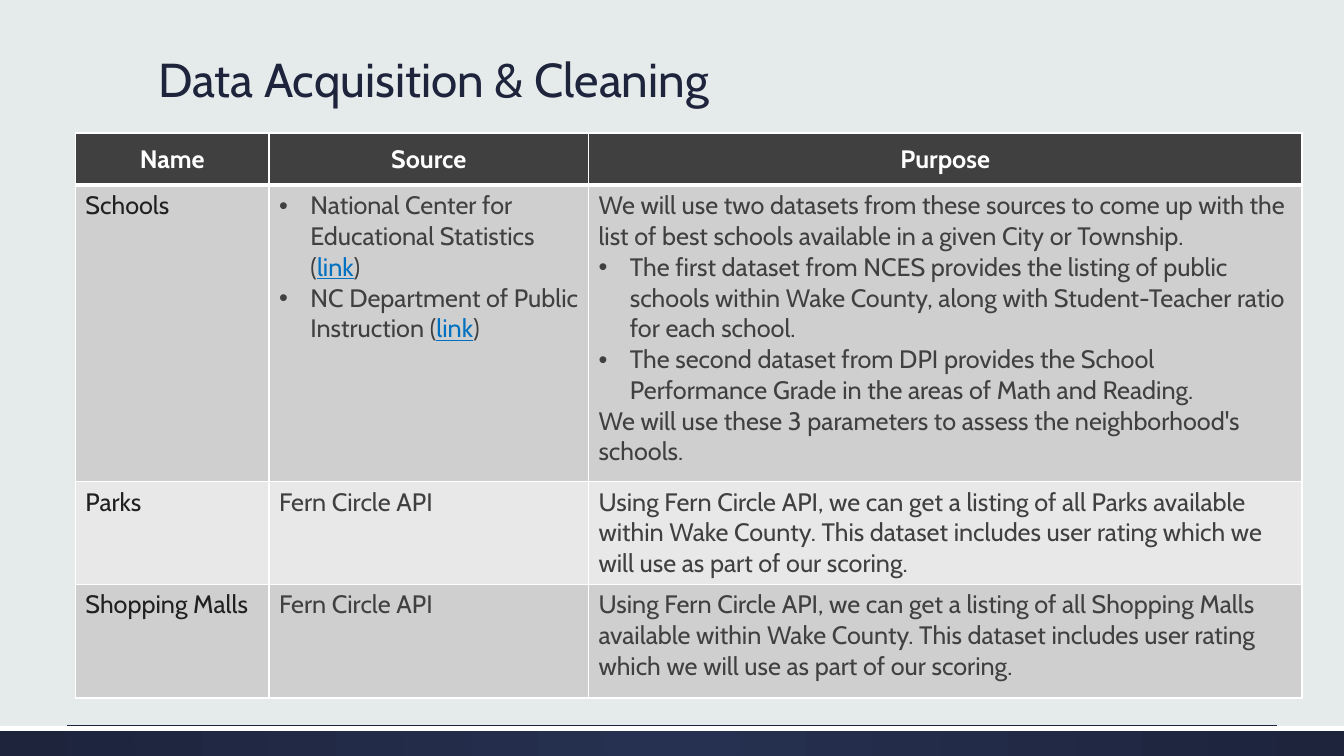
from lxml.etree import SubElement
from pptx import Presentation
from pptx.dml.color import RGBColor
from pptx.enum.shapes import MSO_CONNECTOR, MSO_SHAPE
from pptx.enum.text import MSO_ANCHOR, PP_ALIGN
from pptx.oxml import parse_xml
from pptx.oxml.ns import nsdecls, qn
from pptx.util import Cm, Pt

# Content: a cell is a list of paragraphs; "•" starts a bullet, "|" splits off a link
TITLE = "Data Acquisition & Cleaning"
HEADINGS = ["Name", "Source", "Purpose"]
API = "Fern Circle API"
ROWS = [
    (
        ["Schools"],
        [
            "•National Center for Educational Statistics (|link|)",
            "•NC Department of Public Instruction (|link|)",
        ],
        [
            "We will use two datasets from these sources to come up with the list of "
            "best schools available in a given City or Township.",
            "•The first dataset from NCES provides the listing of public schools within "
            "Wake County, along with Student-Teacher ratio for each school.",
            "•The second dataset from DPI provides the School Performance Grade in the "
            "areas of Math and Reading.",
            "We will use these 3 parameters to assess the neighborhood's schools.",
        ],
    ),
]
ROWS += [
    (
        [place],
        [API],
        [
            f"Using {API}, we can get a listing of all {place} available within Wake "
            "County. This dataset includes user rating which we will use as part of our scoring."
        ],
    )
    for place in ("Parks", "Shopping Malls")
]

COLUMN_WIDTHS = [4.88, 8.05, 17.98]
ROW_HEIGHTS = [1.32, 7.47, 2.21, 2.87]
SLIDE_WIDTH, SLIDE_HEIGHT = 33.87, 19.05
BAR_TOP = 18.29
FONT = "Cabin"
COLORS = {
    "background": "E5EAEA",
    "navy": "1D243C",
    "navy_light": "263050",
    "white": "FFFFFF",
    "header": "404040",
    "odd": "CFCFCF",
    "even": "E8E8E8",
    "name": "202020",
    "text": "404040",
    "link": "0070C0",
}


def color(name):
    return RGBColor.from_string(COLORS[name])


def write(frame, paragraphs, size=18, ink="text", bold=False, align=PP_ALIGN.LEFT, spacing=1.0):
    for index, text in enumerate(paragraphs):
        para = frame.paragraphs[0] if index == 0 else frame.add_paragraph()
        para.alignment = align
        para.line_spacing = spacing
        if text.startswith("•"):
            properties = para._p.get_or_add_pPr()
            properties.set("marL", str(Cm(0.79)))
            properties.set("indent", str(-Cm(0.79)))
            SubElement(properties, qn("a:buFont"), typeface="Arial")
            SubElement(properties, qn("a:buChar"), char="•")
        for position, part in enumerate(text.lstrip("•").split("|")):
            is_link = position % 2 == 1
            span = para.add_run()
            span.text = part
            span.font.name = FONT
            span.font.size = Pt(size)
            span.font.bold = bold
            span.font.underline = is_link
            span.font.color.rgb = color("link" if is_link else ink)


def add_bar(page, top, height):
    bar = page.shapes.add_shape(
        MSO_SHAPE.RECTANGLE, 0, Cm(top), Cm(SLIDE_WIDTH), Cm(height))
    bar.shadow.inherit = False
    bar.line.fill.background()
    return bar


def set_borders(cell, bottom=1):
    properties = cell._tc.get_or_add_tcPr()
    widths = {"lnL": 1, "lnR": 1, "lnT": 1, "lnB": bottom}
    for index, (side, width) in enumerate(widths.items()):
        properties.insert(index, parse_xml(
            f'<a:{side} {nsdecls("a")} w="{Pt(width)}"><a:solidFill>'
            f'<a:srgbClr val="{COLORS["white"]}"/></a:solidFill></a:{side}>'))


def main():
    deck = Presentation()
    deck.slide_width, deck.slide_height = Cm(SLIDE_WIDTH), Cm(SLIDE_HEIGHT)
    page = deck.slides.add_slide(deck.slide_layouts[5])
    page.background.fill.solid()
    page.background.fill.fore_color.rgb = color("background")

    # Footer bar with a radial gradient, white strip and thin rule
    footer = add_bar(page, BAR_TOP, SLIDE_HEIGHT - BAR_TOP)
    footer.fill.gradient()
    for stop, name in zip(footer.fill.gradient_stops, ("navy_light", "navy")):
        stop.color.rgb = color(name)
    gradient = footer._element.spPr.find(qn("a:gradFill"))
    gradient.remove(gradient.find(qn("a:lin")))
    circle = SubElement(gradient, qn("a:path"), path="circle")
    SubElement(circle, qn("a:fillToRect"), l="50000", t="50000", r="50000", b="50000")
    for stop, place in zip(footer.fill.gradient_stops, (0, 1)):
        stop.position = place

    strip = add_bar(page, BAR_TOP, 0.13)
    strip.fill.solid()
    strip.fill.fore_color.rgb = color("white")

    rule = page.shapes.add_connector(
        MSO_CONNECTOR.STRAIGHT, Cm(1.7), Cm(18.27), Cm(32.17), Cm(18.27))
    rule.line.color.rgb = color("navy")
    rule.line.width = Pt(0.75)
    SubElement(rule._element.spPr, qn("a:effectLst"))

    # Title
    title = page.shapes.title
    title.left, title.top, title.width, title.height = Cm(3.73), Cm(1.3), Cm(26.42), Cm(3.43)
    title.text_frame.vertical_anchor = MSO_ANCHOR.TOP
    write(title.text_frame, [TITLE], size=34, ink="navy", spacing=0.9)

    # Table
    table = page.shapes.add_table(
        len(ROW_HEIGHTS), len(COLUMN_WIDTHS), Cm(1.9), Cm(3.35),
        Cm(sum(COLUMN_WIDTHS)), Cm(sum(ROW_HEIGHTS))).table
    for column, width in zip(table.columns, COLUMN_WIDTHS):
        column.width = Cm(width)
    for row, height in zip(table.rows, ROW_HEIGHTS):
        row.height = Cm(height)

    for column, heading in enumerate(HEADINGS):
        cell = table.cell(0, column)
        cell.fill.solid()
        cell.fill.fore_color.rgb = color("header")
        cell.vertical_anchor = MSO_ANCHOR.MIDDLE
        set_borders(cell, bottom=3)
        write(cell.text_frame, [heading], ink="white", bold=True, align=PP_ALIGN.CENTER)

    for row, contents in enumerate(ROWS, start=1):
        for column, paragraphs in enumerate(contents):
            cell = table.cell(row, column)
            cell.fill.solid()
            cell.fill.fore_color.rgb = color("odd" if row % 2 else "even")
            set_borders(cell)
            write(cell.text_frame, paragraphs, ink="text" if column else "name")
    # The first body row shares the heavy edge of the header
    for column in range(len(HEADINGS)):
        edge = table.cell(1, column)._tc.tcPr.find(qn("a:lnT"))
        edge.set("w", str(Pt(3)))

    deck.save("out.pptx")


if __name__ == "__main__":
    main()
